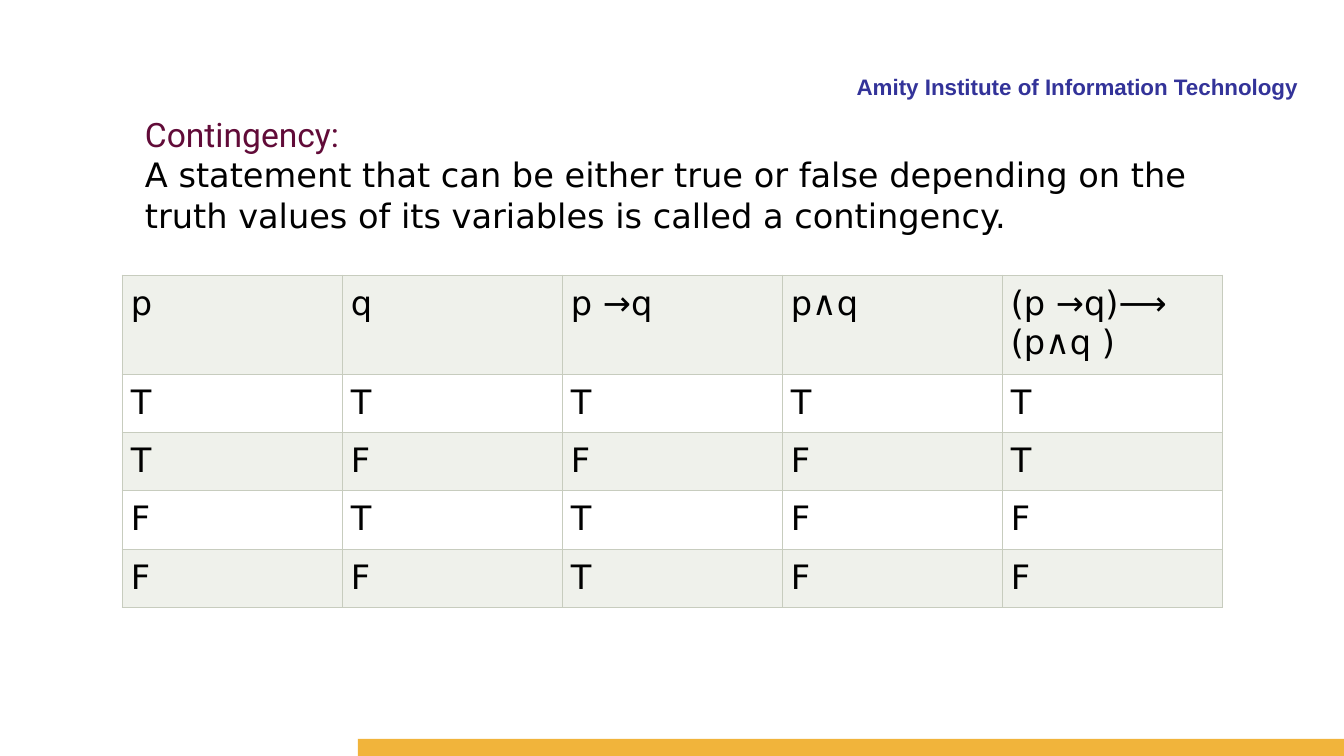
from lxml import etree
from pptx import Presentation
from pptx.dml.color import RGBColor
from pptx.enum.shapes import MSO_SHAPE
from pptx.enum.text import MSO_AUTO_SIZE, PP_ALIGN
from pptx.oxml.ns import qn
from pptx.util import Emu, Pt

RECTANGLE = MSO_SHAPE.RECTANGLE
GROW = MSO_AUTO_SIZE.SHAPE_TO_FIT_TEXT
LEFT, RIGHT = PP_ALIGN.LEFT, PP_ALIGN.RIGHT

NAVY = RGBColor(0x33, 0x33, 0x99)
GOLD = RGBColor(0xF1, 0xB4, 0x3B)
PLUM = RGBColor(0x61, 0x0B, 0x38)
BLACK = RGBColor(0x00, 0x00, 0x00)
WHITE = RGBColor(0xFF, 0xFF, 0xFF)
SAGE = RGBColor(0xEF, 0xF1, 0xEB)
BORDER = RGBColor(0xC7, 0xCC, 0xBE)

BODY_FONT = "DejaVu Sans"
BODY_SIZE = 24
HEADER_HEIGHT = 99
CELL_MARGIN = 9
TRUTH_TABLE = [
    ["p", "q", "p →q", "p∧q", "(p →q)⟶ (p∧q )"],
    ["T", "T", "T", "T", "T"],
    ["T", "F", "F", "F", "T"],
    ["F", "T", "T", "F", "F"],
    ["F", "F", "T", "F", "F"],
]


def px(length):
    """Turn whole pixels into EMU at 100.8 pixels to the inch."""
    return Emu(round(length * 914400 / 100.8))


def add_span(para, text, font, size, color, bold=False):
    """Add one formatted run to a paragraph."""
    span = para.add_run()
    span.text = text
    span.font.name = font
    span.font.size = Pt(size)
    span.font.color.rgb = color
    span.font.bold = bold


def add_institute(page, left, top, width, height):
    """Write the institute name at the right of its box."""
    box = page.shapes.add_textbox(px(left), px(top), px(width), px(height))
    box.text_frame.word_wrap = True
    para = box.text_frame.paragraphs[0]
    para.alignment = RIGHT
    add_span(para, "Amity Institute of Information Technology", "Arial", 16, NAVY, True)


def add_footer_bar(page, left, top, width, height):
    """Draw the gold bar at the foot of the slide."""
    bar = page.shapes.add_shape(RECTANGLE, px(left), px(top), px(width), px(height))
    bar.shadow.inherit = False
    bar.fill.solid()
    bar.fill.fore_color.rgb = GOLD
    bar.line.fill.background()


def add_definition(page, left, top, width, height):
    """Write the term and its definition."""
    box = page.shapes.add_textbox(px(left), px(top), px(width), px(height))
    frame = box.text_frame
    frame.word_wrap = True
    frame.auto_size = GROW
    add_span(frame.paragraphs[0], "Contingency:", "Roboto", BODY_SIZE, PLUM)
    add_span(
        frame.add_paragraph(),
        "A statement that can be either true or false depending on the "
        "truth values of its variables is called a contingency.",
        BODY_FONT, BODY_SIZE, BLACK,
    )


def add_borders(cell):
    """Give a cell a thin line on all four sides, ahead of its fill."""
    properties = cell._tc.get_or_add_tcPr()
    for position, side in enumerate(("a:lnL", "a:lnR", "a:lnT", "a:lnB")):
        line = etree.Element(qn(side), w=str(Pt(0.6)))
        fill = etree.SubElement(line, qn("a:solidFill"))
        etree.SubElement(fill, qn("a:srgbClr"), val=str(BORDER))
        properties.insert(position, line)


def add_truth_table(page, left, top, width, height):
    """Build the truth table with equal columns and shaded alternate rows."""
    row_count, column_count = len(TRUTH_TABLE), len(TRUTH_TABLE[0])
    table = page.shapes.add_table(
        row_count, column_count, px(left), px(top), px(width), px(height)
    ).table
    for column in table.columns:
        column.width = px(width / column_count)
    row_height = (height - HEADER_HEIGHT) / (row_count - 1)
    for row_index, values in enumerate(TRUTH_TABLE):
        table.rows[row_index].height = px(row_height if row_index else HEADER_HEIGHT)
        for column_index, value in enumerate(values):
            cell = table.cell(row_index, column_index)
            cell.margin_left = cell.margin_right = px(CELL_MARGIN)
            cell.margin_top = cell.margin_bottom = px(CELL_MARGIN)
            cell.fill.solid()
            cell.fill.fore_color.rgb = WHITE if row_index % 2 else SAGE
            add_borders(cell)
            para = cell.text_frame.paragraphs[0]
            para.alignment = LEFT
            add_span(para, value, BODY_FONT, BODY_SIZE, BLACK)


def main():
    """Build the contingency slide and save it."""
    deck = Presentation()
    deck.slide_width, deck.slide_height = px(1344), px(756)
    page = deck.slides.add_slide(deck.slide_layouts[6])
    add_institute(page, 513, 68, 795, 33)
    add_footer_bar(page, 358, 739, 986, 17)
    add_definition(page, 135, 109, 1087, 132)
    add_truth_table(page, 122, 275, 1100, 331)
    deck.save("out.pptx")


if __name__ == "__main__":
    main()
